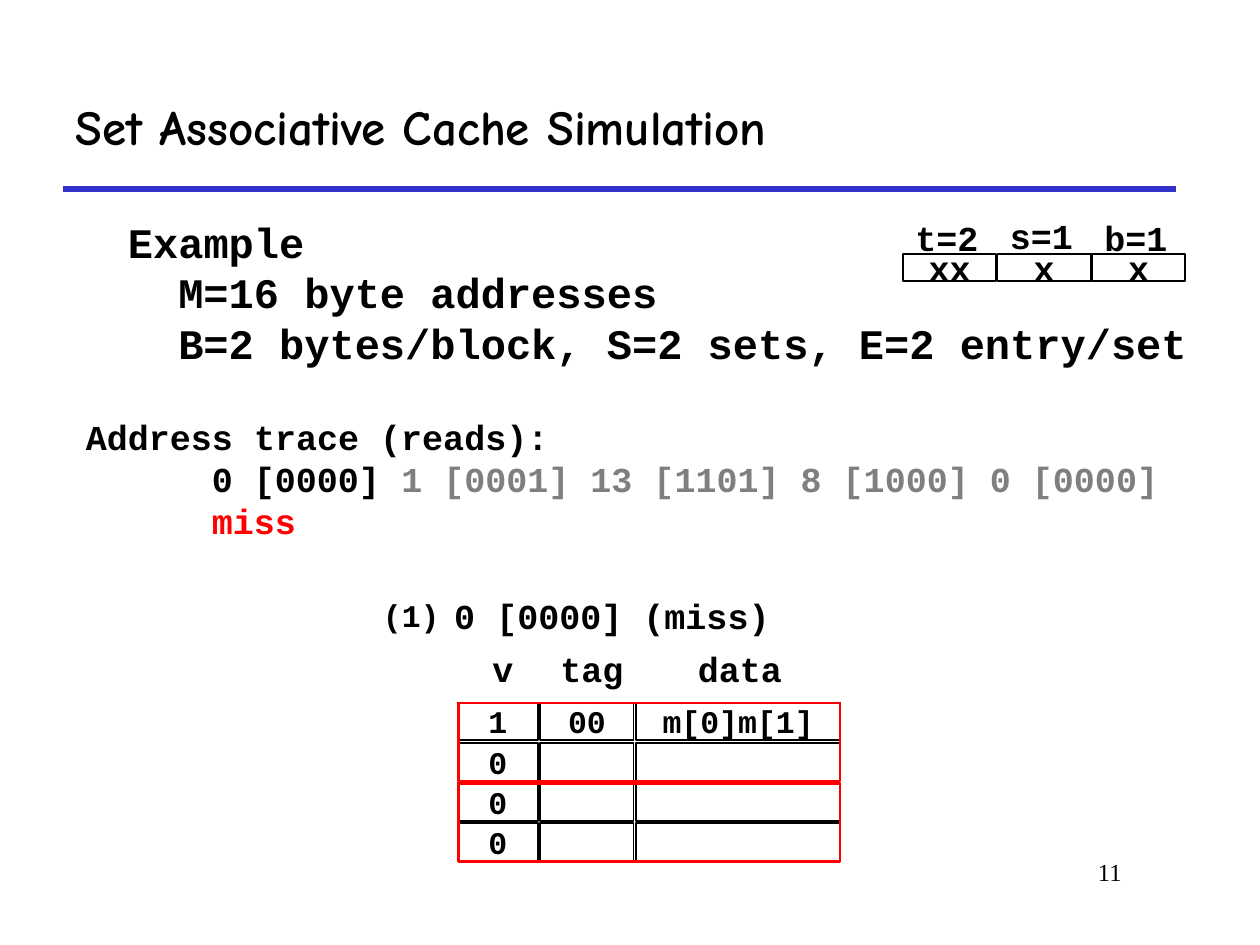
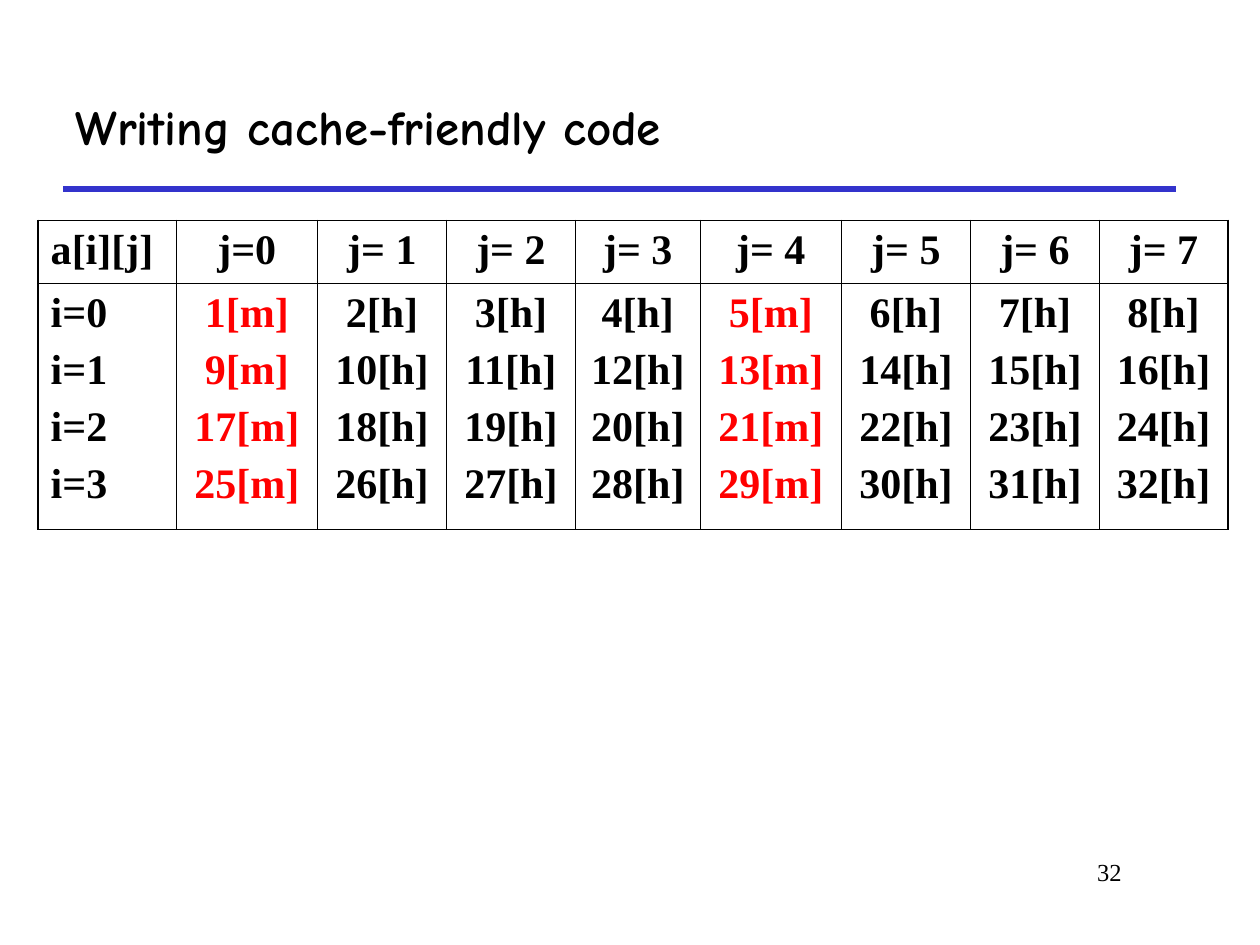
from lxml.etree import SubElement
from pptx import Presentation
from pptx.dml.color import RGBColor
from pptx.enum.shapes import MSO_CONNECTOR, MSO_SHAPE
from pptx.enum.text import MSO_ANCHOR as Anchor, PP_ALIGN as Align
from pptx.oxml.ns import qn
from pptx.util import Pt

BLACK, WHITE, RED, GREY, BLUE = "000000", "FFFFFF", "FF0000", "7F7F7F", "3333CC"
TITLE_FONT, CODE_FONT, SERIF = "Comic Neue", "Courier New", "Times New Roman"


def rgb(color):
    """Turn a hex string into a colour."""
    return RGBColor.from_string(color)


def style(p, font, size, color=BLACK, bold=True, align=Align.LEFT):
    """Format a paragraph and all its runs."""
    p.alignment = align
    for r in p.runs:
        r.font.name = font
        r.font.size = Pt(size)
        r.font.bold = bold
        r.font.color.rgb = rgb(color)


def border(cell, side, width):
    """Draw one black cell border; side is L, R, T or B."""
    ln = SubElement(cell._tc.get_or_add_tcPr(), qn(f"a:ln{side}"), w=str(Pt(width)))
    fill = SubElement(ln, qn("a:solidFill"))
    SubElement(fill, qn("a:srgbClr"), val=BLACK)


class Deck:
    """The presentation, its style and the current slide."""

    def __init__(self):
        """Open an empty 10 by 7.5 inch presentation."""
        self.prs = Presentation()
        self.prs.slide_width, self.prs.slide_height = Pt(720), Pt(540)
        self.s = None

    def slide(self, title, number):
        """Start a slide with title, rule and page number."""
        self.s = self.prs.slides.add_slide(self.prs.slide_layouts[5])
        self.rule(36, 108, 672)
        self.text(546, 486, 102, 36, [str(number)], 14, SERIF,
                  bold=False, align=Align.RIGHT)
        sp = self.s.shapes.title
        sp.left, sp.top, sp.width, sp.height = Pt(36), Pt(36), Pt(636), Pt(72)
        tf = sp.text_frame
        tf.text = title
        tf.vertical_anchor = Anchor.MIDDLE
        style(tf.paragraphs[0], TITLE_FONT, 28)

    def rule(self, x1, y, x2):
        """Draw the horizontal line under the title."""
        line = self.s.shapes.add_connector(
            MSO_CONNECTOR.STRAIGHT, Pt(x1), Pt(y), Pt(x2), Pt(y))
        line.line.color.rgb = rgb(BLUE)
        line.line.width = Pt(3)
        SubElement(line._element.spPr, qn("a:effectLst"))

    def text(self, x, y, w, h, lines, size, font=CODE_FONT, indent=0,
             bold=True, align=Align.LEFT):
        """Add a text box; lines after the first are indented."""
        sp = self.s.shapes.add_textbox(Pt(x), Pt(y), Pt(w), Pt(h))
        tf = sp.text_frame
        tf.text = "\n".join(lines)
        tf.word_wrap = True
        for i, p in enumerate(tf.paragraphs):
            style(p, font, size, bold=bold, align=align)
            if i and indent:
                p._p.get_or_add_pPr().set("marL", str(Pt(indent)))
        return tf

    def label(self, x, y, text, size=20):
        """Add a one-line code label, wide enough for its monospaced text."""
        width = len(text) * size * 0.6 + 20
        self.text(x, y, width, 31, [text], size)

    def box(self, x, y, w, h, text="", size=18):
        """Add a white memory field with centred text."""
        sp = self.frame(x, y, w, h, BLACK, 1)
        sp.fill.solid()
        sp.fill.fore_color.rgb = rgb(WHITE)
        tf = sp.text_frame
        tf.text = text
        tf.word_wrap = False
        tf.vertical_anchor = Anchor.MIDDLE
        style(tf.paragraphs[0], CODE_FONT, size, align=Align.CENTER)

    def frame(self, x, y, w, h, color=RED, width=1.5):
        """Add an unfilled rectangle."""
        sp = self.s.shapes.add_shape(MSO_SHAPE.RECTANGLE, Pt(x), Pt(y), Pt(w), Pt(h))
        sp.shadow.inherit = False
        sp.fill.background()
        sp.line.color.rgb = rgb(color)
        sp.line.width = Pt(width)
        return sp

    def table(self, x, y, widths, heights, rows):
        """Add a ruled table; cells that hold misses are red."""
        last_row, last_col = len(rows) - 1, len(widths) - 1
        table = self.s.shapes.add_table(
            len(rows), len(widths), Pt(x), Pt(y),
            Pt(sum(widths)), Pt(sum(heights))).table
        table.first_row = table.horz_banding = False
        for col, width in zip(table.columns, widths):
            col.width = Pt(width)
        for row, height in zip(table.rows, heights):
            row.height = Pt(height)
        for i, row in enumerate(rows):
            for j, text in enumerate(row):
                cell = table.cell(i, j)
                cell.text = text
                for p in cell.text_frame.paragraphs:
                    p.space_before = Pt(6)
                    style(p, SERIF, 24, RED if "[m]" in text else BLACK,
                          align=Align.CENTER if j else Align.LEFT)
                outer = {"L": j == 0, "R": j == last_col,
                         "T": i == 0, "B": i == last_row}
                for side, is_outer in outer.items():
                    border(cell, side, 1.08 if is_outer else 0.45)
                cell.fill.background()


def cache_simulation(deck):
    """Build the slide that traces reads through a two-way cache."""
    deck.slide("Set Associative Cache Simulation", 11)
    deck.text(66, 120, 624, 96,
              ["Example", "M=16 byte addresses",
               "B=2 bytes/block, S=2 sets, E=2 entry/set"], 24, indent=28.8)

    tf = deck.text(42, 234, 654, 79,
                   ["Address trace (reads):", "0 [0000] ", "miss"], 20, indent=72)
    _, reads, result = tf.paragraphs
    r = reads.add_run()
    r.text = "1 [0001] 13 [1101] 8 [1000] 0 [0000]"
    style(reads, CODE_FONT, 20)
    r.font.color.rgb = rgb(GREY)
    style(result, CODE_FONT, 20, RED)

    # Cache lines: valid bit, tag and data
    top, pitch, gap = 401.4, 23, 1.4
    contents = [("1", "00", "m[0]m[1]")] + [("0", "", "")] * 3
    for i, fields in enumerate(contents):
        x = 261.4
        for text, w in zip(fields, (46, 53.3, 116.6)):
            deck.box(x, top + i * pitch, w, 21.6, text)
            x += w + gap
    for x, head in ((274.3, "v"), (313.2, "tag"), (391.7, "data")):
        deck.label(x, 366.5, head)
    deck.label(252.5, 336.2, "0 [0000] (miss)")
    deck.label(211.7, 337, "(1)", 18)

    # Address fields
    for i, (head, bits, y) in enumerate((("t=2", "xx", 120.2), ("s=1", "x", 118.8),
                                         ("b=1", "x", 120.2))):
        x = 516 + i * 54
        deck.box(x, 145, 53.3, 15.8, bits, 20)
        deck.label(x, y, head)

    # Each set holds two lines
    for i in range(2):
        deck.frame(262, 401.8 + i * 2 * pitch, 218, 44.6)


def cache_friendly_code(deck):
    """Build the slide with hits and misses of a row-wise array scan."""
    deck.slide("Writing cache-friendly code", 32)
    rows, cols, block = 4, 8, 4
    header = ["a[i][j]", "j=0"] + [f"j= {j}" for j in range(1, cols)]
    body = ["\n".join(f"i={i}" for i in range(rows))]
    for j in range(cols):
        mark = "h" if j % block else "m"
        body.append("\n".join(f"{i * cols + j + 1}[{mark}]" for i in range(rows)))
    widths = [79, 80.5, 74, 73.5, 71.5, 80.5, 74, 73.5, 73.5]
    deck.table(21.8, 126, widths, [36, 140.4], [header, body])


deck = Deck()
cache_simulation(deck)
cache_friendly_code(deck)
deck.prs.save("out.pptx")
